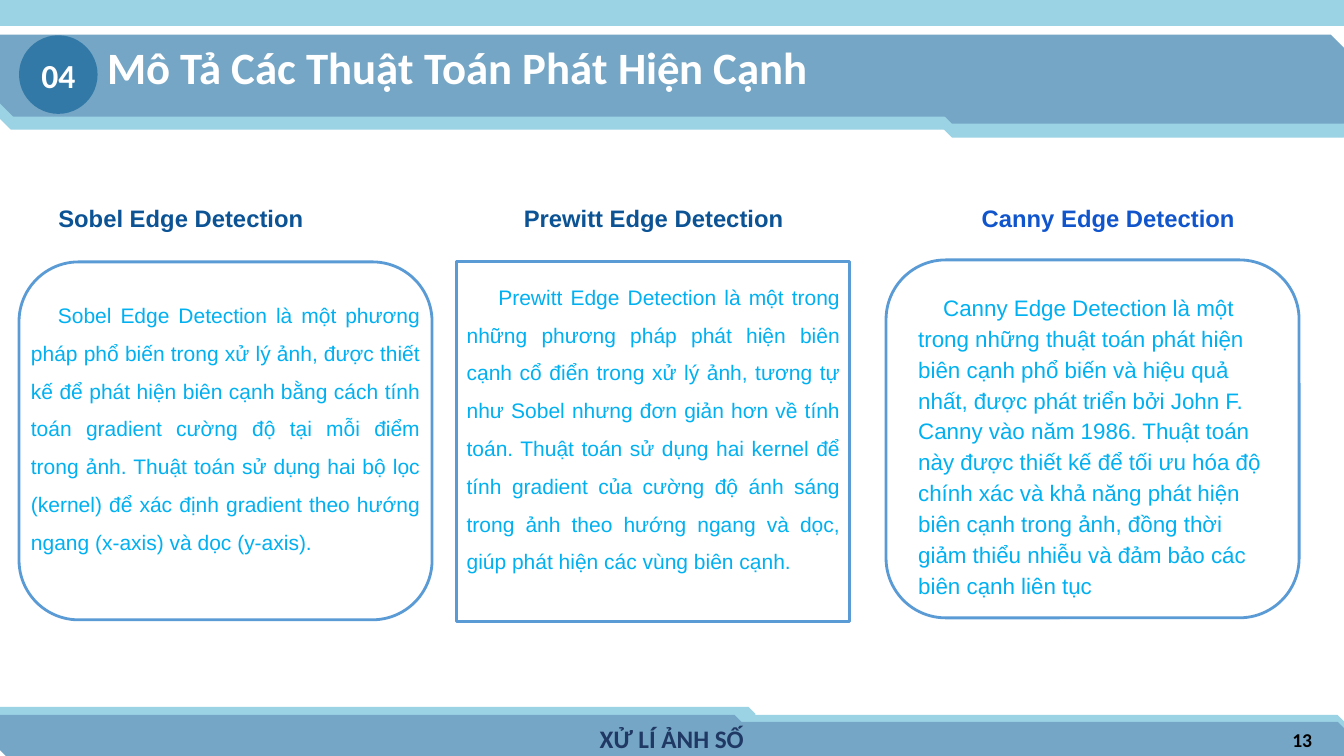
"""Build the slide on edge detection algorithms."""
from dataclasses import dataclass
from typing import Optional

from pptx import Presentation
from pptx.dml.color import RGBColor
from pptx.enum.shapes import MSO_SHAPE as Kind
from pptx.enum.text import MSO_ANCHOR as Anchor, MSO_AUTO_SIZE as Fit, PP_ALIGN as Align
from pptx.util import Cm, Pt


@dataclass(frozen=True)
class Theme:
    pale: str = "9BD3E5"
    mid: str = "75A6C5"
    disc: str = "3379A7"
    edge: str = "5B9BD5"
    white: str = "FFFFFF"
    black: str = "000000"
    navy: str = "1F3864"
    head: str = "0B5394"
    royal: str = "1155CC"
    body: str = "00B0F0"
    sans: str = "Arial"
    face: str = "Calibri"
    title_size: int = 32
    badge_size: int = 24
    foot_size: int = 18
    page_size: int = 14
    head_size: int = 17
    body_size: int = 15
    large_size: int = 16


@dataclass(frozen=True)
class Box:
    left: float
    top: float
    width: float
    height: float

    def place(self) -> tuple:
        return Cm(self.left), Cm(self.top), Cm(self.width), Cm(self.height)


@dataclass(frozen=True)
class Style:
    size: int
    color: str
    face: str
    bold: bool = True
    align: Align = Align.LEFT
    anchor: Anchor = Anchor.TOP
    lines: float = 1.0
    indent: float = 0
    wrap: bool = True


@dataclass(frozen=True)
class Band:
    box: Box
    color: str
    kind: Kind = Kind.SNIP_2_DIAG_RECTANGLE


@dataclass(frozen=True)
class Card:
    head: str
    left: float
    color: str
    kind: Kind
    frame: Box
    text: str
    style: Style
    inner: Optional[Box] = None


T = Theme()
WIDTH, HEIGHT = 33.87, 19.05
HEAD_TOP, HEAD_WIDTH, HEAD_HEIGHT = 4.52, 8.33, 1.24

BANDS = [
    Band(Box(14.27, 18.03, 19.59, 0.97), T.pale),
    Band(Box(0, 17.83, 19.02, 0.97), T.pale),
    Band(Box(15.82, 18.21, 18.03, 0.84), T.mid),
    Band(Box(0, 18.03, 18.67, 1.02), T.mid),
    Band(Box(23.67, 1.47, 10.19, 1.98), T.pale),
    Band(Box(0, 1.57, WIDTH, 1.68), T.pale),
    Band(Box(0, 0.89, WIDTH, 2.03), T.mid),
    Band(Box(0, 0, WIDTH, 0.64), T.pale, Kind.RECTANGLE),
    Band(Box(23.67, 1.12, 10.19, 1.98), T.mid),
]

CARDS = [
    Card("Sobel Edge Detection", 1.22, T.head, Kind.ROUNDED_RECTANGLE,
         Box(0.48, 6.6, 10.41, 9.02),
         "Sobel Edge Detection là một phương pháp phổ biến trong xử lý ảnh, được thiết kế "
         "để phát hiện biên cạnh bằng cách tính toán gradient cường độ tại mỗi điểm trong "
         "ảnh. Thuật toán sử dụng hai bộ lọc (kernel) để xác định gradient theo hướng "
         "ngang (x-axis) và dọc (y-axis).",
         Style(T.body_size, T.body, T.sans, False, Align.JUSTIFY, lines=1.5, indent=0.68),
         Box(0.53, 7.06, 10.31, 7.67)),
    Card("Prewitt Edge Detection", 12.95, T.head, Kind.RECTANGLE,
         Box(11.51, 6.6, 9.91, 9.07),
         "Prewitt Edge Detection là một trong những phương pháp phát hiện biên cạnh cổ "
         "điển trong xử lý ảnh, tương tự như Sobel nhưng đơn giản hơn về tính toán. Thuật "
         "toán sử dụng hai kernel để tính gradient của cường độ ánh sáng trong ảnh theo "
         "hướng ngang và dọc, giúp phát hiện các vùng biên cạnh.",
         Style(T.body_size, T.body, T.sans, False, Align.JUSTIFY, lines=1.5, indent=0.8)),
    Card("Canny Edge Detection", 24.49, T.royal, Kind.ROUNDED_RECTANGLE,
         Box(22.33, 6.55, 10.41, 9.02),
         "Canny Edge Detection là một trong những thuật toán phát hiện biên cạnh phổ biến "
         "và hiệu quả nhất, được phát triển bởi John F. Canny vào năm 1986. Thuật toán "
         "này được thiết kế để tối ưu hóa độ chính xác và khả năng phát hiện biên cạnh "
         "trong ảnh, đồng thời giảm thiểu nhiễu và đảm bảo các biên cạnh liên tục",
         Style(T.large_size, T.body, T.sans, False, lines=1.15, indent=0.63),
         Box(22.89, 7.06, 9.3, 8.46)),
]


def write(shape, text: str, style: Style) -> None:
    frame = shape.text_frame
    frame.text = text
    frame.auto_size = Fit.NONE
    frame.word_wrap = style.wrap
    frame.vertical_anchor = style.anchor
    frame.margin_left = frame.margin_right = Cm(0.25)
    frame.margin_top = frame.margin_bottom = Cm(0.25)
    para = frame.paragraphs[0]
    para.alignment = style.align
    para.line_spacing = style.lines
    if style.indent:
        para._p.get_or_add_pPr().set("indent", str(Cm(style.indent)))
    for run in para.runs:
        font = run.font
        font.name, font.size, font.bold = style.face, Pt(style.size), style.bold
        font.color.rgb = RGBColor.from_string(style.color)


def draw(slide, kind: Kind, box: Box, fill: str, line: str, weight: float = 1):
    shape = slide.shapes.add_shape(kind, *box.place())
    shape.shadow.inherit = False
    shape.fill.solid()
    shape.fill.fore_color.rgb = RGBColor.from_string(fill)
    shape.line.color.rgb = RGBColor.from_string(line)
    shape.line.width = Pt(weight)
    return shape


def label(slide, box: Box, text: str, style: Style) -> None:
    write(slide.shapes.add_textbox(*box.place()), text, style)


def add_title(slide, box: Box, text: str, style: Style) -> None:
    title = slide.shapes.title
    title.left, title.top, title.width, title.height = box.place()
    write(title, text, style)
    slide.shapes._spTree.append(title._element)


def add_card(slide, card: Card) -> None:
    label(slide, Box(card.left, HEAD_TOP, HEAD_WIDTH, HEAD_HEIGHT), card.head,
          Style(T.head_size, card.color, T.sans, align=Align.JUSTIFY, lines=1.5))
    shape = draw(slide, card.kind, card.frame, T.white, T.edge, 2)
    if card.inner:
        label(slide, card.inner, card.text, card.style)
    else:
        write(shape, card.text, card.style)


def main() -> None:
    deck = Presentation()
    deck.slide_width, deck.slide_height = Cm(WIDTH), Cm(HEIGHT)
    slide = deck.slides.add_slide(deck.slide_layouts[5])
    for band in BANDS:
        draw(slide, band.kind, band.box, band.color, band.color)
    label(slide, Box(12.5, 18.11, 8.86, 1.02), "XỬ LÍ ẢNH SỐ",
          Style(T.foot_size, T.navy, T.face, align=Align.CENTER, anchor=Anchor.MIDDLE))
    label(slide, Box(25.7, 18.14, 7.62, 1.02), "13",
          Style(T.page_size, T.black, T.face, align=Align.RIGHT, anchor=Anchor.MIDDLE))
    add_title(slide, Box(2.46, 0.74, 19.28, 1.98), "Mô Tả Các Thuật Toán Phát Hiện Cạnh",
              Style(T.title_size, T.white, T.face))
    badge = draw(slide, Kind.OVAL, Box(0.48, 0.89, 1.98, 1.98), T.disc, T.disc)
    badge.line.fill.background()
    write(badge, "04", Style(T.badge_size, T.white, T.face, align=Align.CENTER,
                             anchor=Anchor.MIDDLE, wrap=False))
    for card in CARDS:
        add_card(slide, card)
    deck.save("out.pptx")


if __name__ == "__main__":
    main()
